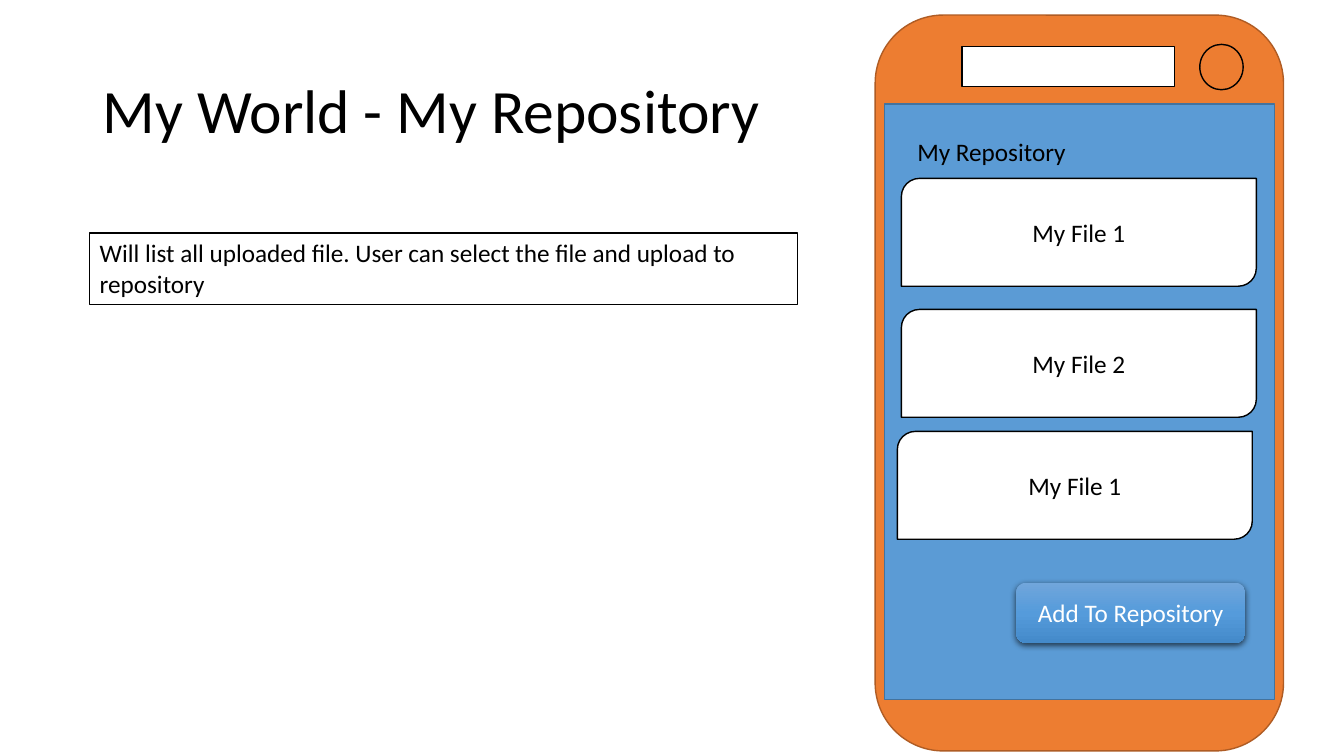
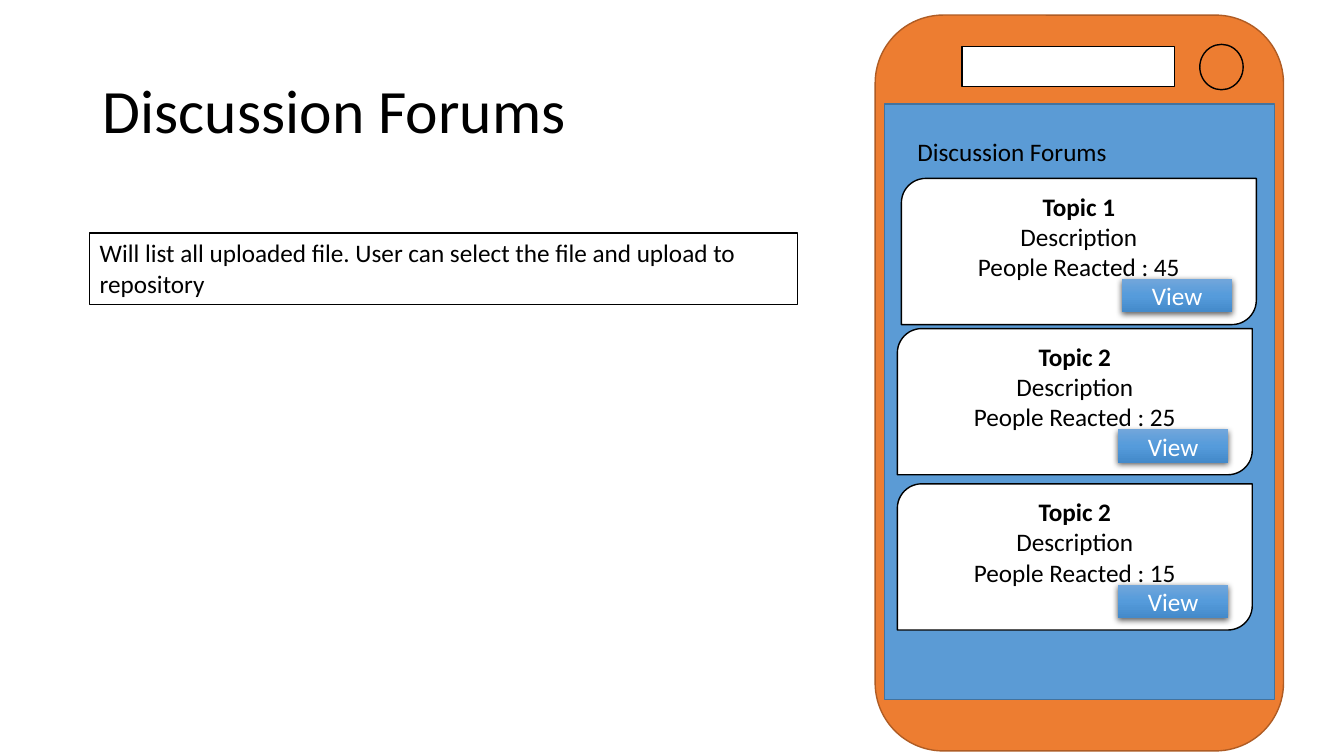
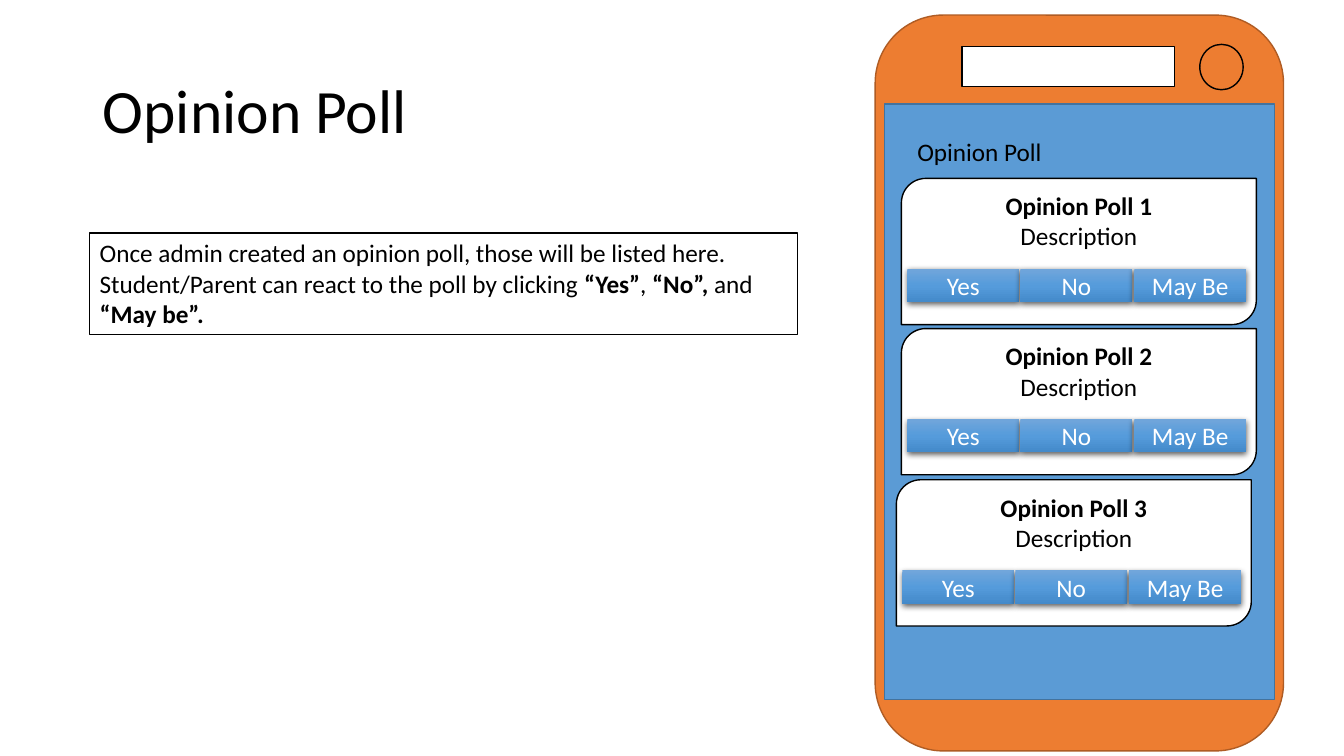
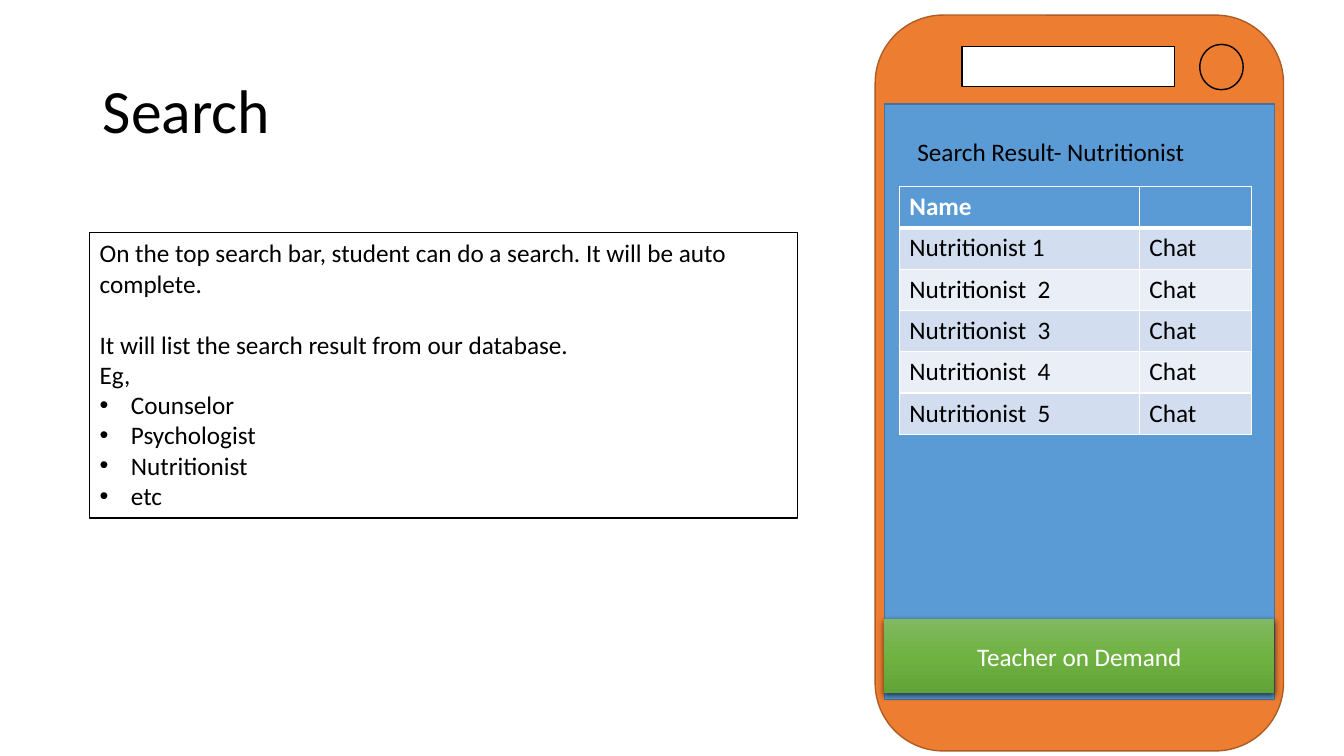
import copy

import pptx
import pptx.dml.color
import pptx.enum.shapes
import pptx.enum.text
import pptx.oxml
import pptx.oxml.ns
import pptx.util

RGBColor = pptx.dml.color.RGBColor
Pt = pptx.util.Pt
SHAPE = pptx.enum.shapes.MSO_SHAPE
ANCHOR = pptx.enum.text.MSO_ANCHOR
ALIGN = pptx.enum.text.PP_ALIGN
qn = pptx.oxml.ns.qn

PX = 9144  # EMU per px, 100 px to the inch

BLACK = RGBColor(0x00, 0x00, 0x00)
WHITE = RGBColor(0xFF, 0xFF, 0xFF)
ORANGE = RGBColor(0xED, 0x7D, 0x31)
ORANGE_EDGE = RGBColor(0xAF, 0x5C, 0x24)
BLUE = RGBColor(0x5B, 0x9B, 0xD5)
BLUE_EDGE = RGBColor(0x43, 0x73, 0x9E)
BAND_DARK = RGBColor(0xD2, 0xDE, 0xEF)
BAND_LIGHT = RGBColor(0xEA, 0xEF, 0xF7)
BLUE_GLOSS = (RGBColor(0x71, 0xA6, 0xDB), RGBColor(0x55, 0x9B, 0xDB),
              RGBColor(0x44, 0x8A, 0xCA))
GREEN_GLOSS = (RGBColor(0x81, 0xB8, 0x61), RGBColor(0x6F, 0xB2, 0x42),
               RGBColor(0x62, 0xA3, 0x36))

BODY_FONT = {"name": "Calibri", "size": Pt(18)}
TITLE_FONT = {"name": "Calibri", "size": Pt(44)}

NS = 'xmlns:a="http://schemas.openxmlformats.org/drawingml/2006/main"'
SHADOW = (f'<a:outerShdw {NS} blurRad="57150" dist="19050" dir="5400000" '
          'algn="ctr" rotWithShape="0"><a:srgbClr val="000000">'
          '<a:alpha val="63000"/></a:srgbClr></a:outerShdw>')
BULLET = (f'<a:buFont {NS} typeface="Arial"/>', f'<a:buChar {NS} char="•"/>')


def px(*lengths):
    return [length * PX for length in lengths]


def apply(target, values):
    for name, value in values.items():
        setattr(target, name, value)


class Deck:
    """Holds the shared style and the slide being built."""

    def __init__(self):
        self.prs = pptx.Presentation()
        apply(self.prs, {"slide_width": 1333 * PX, "slide_height": 750 * PX})
        self.slide = None

    def fill_text(self, frame, paragraphs, color=BLACK, font=BODY_FONT, **layout):
        """Fill a text frame; **...** is bold, a leading • makes a bullet."""
        for index, text in enumerate(paragraphs):
            paragraph = frame.add_paragraph() if index else frame.paragraphs[0]
            apply(paragraph, layout)
            if text.startswith("•"):
                text = text[1:]
                props = paragraph._p.get_or_add_pPr()
                props.set("marL", str(31 * PX))
                props.set("indent", str(-31 * PX))
                for mark in BULLET:
                    props.append(pptx.oxml.parse_xml(mark))
            for part, words in enumerate(text.split("**")):
                if words:
                    run = paragraph.add_run()
                    run.text = words
                    apply(run.font, {**font, "bold": part % 2 == 1})
                    run.font.color.rgb = color

    def page(self, title, screen_name, screen_name_width=250):
        """Start a slide with its title and an empty phone."""
        self.slide = self.prs.slides.add_slide(self.prs.slide_layouts[5])
        heading = self.slide.shapes.title
        apply(heading, dict(zip(("left", "top", "width", "height"),
                                px(92, 40, 1150, 145))))
        apply(heading.text_frame, {"vertical_anchor": ANCHOR.MIDDLE, "word_wrap": True})
        self.fill_text(heading.text_frame, [title], font=TITLE_FONT,
                       alignment=ALIGN.LEFT, line_spacing=0.9)

        self.shape(SHAPE.ROUNDED_RECTANGLE, (868, 15, 405, 730), ORANGE, ORANGE_EDGE)
        self.shape(SHAPE.RECTANGLE, (954, 46, 211, 40))
        self.shape(SHAPE.OVAL, (1190, 44, 43, 45), ORANGE)
        self.shape(SHAPE.RECTANGLE, (877, 103, 387, 591), BLUE, BLUE_EDGE)
        label = self.slide.shapes.add_textbox(*px(900, 130, screen_name_width, 40))
        label.text_frame.word_wrap = True
        self.fill_text(label.text_frame, [screen_name])

    def shape(self, preset, box, fill=WHITE, edge=BLACK):
        outline = self.slide.shapes.add_shape(preset, *px(*box))
        outline.shadow.inherit = False
        outline.fill.solid()
        outline.fill.fore_color.rgb = fill
        outline.line.color.rgb = edge
        outline.line.width = Pt(1)
        return outline

    def note(self, height, paragraphs):
        frame = self.shape(SHAPE.RECTANGLE, (89, 231, 702, height)).text_frame
        apply(frame, {"vertical_anchor": ANCHOR.TOP, "word_wrap": True})
        self.fill_text(frame, paragraphs, alignment=ALIGN.LEFT)
        return frame

    def card(self, left, top, height, paragraphs, space_below=5):
        """White card; space_below keeps its text clear of the buttons."""
        frame = self.shape(SHAPE.ROUND_2_DIAG_RECTANGLE,
                           (left, top, 352, height)).text_frame
        apply(frame, {"vertical_anchor": ANCHOR.MIDDLE, "word_wrap": True,
                      "margin_bottom": space_below * PX})
        self.fill_text(frame, paragraphs, alignment=ALIGN.CENTER)

    def button(self, box, caption, gloss=BLUE_GLOSS, preset=SHAPE.RECTANGLE):
        key = self.shape(preset, box)
        key.line.fill.background()
        key.fill.gradient()
        key.fill.gradient_angle = 270
        props = key._element.spPr
        stops = props.find(".//" + qn("a:gsLst"))
        stops.insert(1, copy.deepcopy(stops[0]))
        for stop, position, color in zip(key.fill.gradient_stops, (0, 0.5, 1), gloss):
            stop.position = position
            stop.color.rgb = color
        props.find(qn("a:effectLst")).append(pptx.oxml.parse_xml(SHADOW))
        key.text_frame.word_wrap = True
        self.fill_text(key.text_frame, [caption], WHITE, alignment=ALIGN.CENTER)

    def table(self, left, top, widths, row_height, rows):
        grid = self.slide.shapes.add_table(
            len(rows), len(widths),
            *px(left, top, sum(widths), row_height * len(rows))).table
        for column, width in zip(grid.columns, widths):
            column.width = width * PX
        for r, row in enumerate(rows):
            grid.rows[r].height = row_height * PX
            band = BAND_DARK if r % 2 else BAND_LIGHT
            for c, text in enumerate(row):
                cell = grid.cell(r, c)
                self.borders(cell, top=3 if r == 1 else 1, bottom=1 if r else 3)
                cell.fill.solid()
                cell.fill.fore_color.rgb = band if r else BLUE
                self.fill_text(cell.text_frame, [text], BLACK if r else WHITE)

    def borders(self, cell, top, bottom):
        props = cell._tc.get_or_add_tcPr()
        for side, points in (("L", 1), ("R", 1), ("T", top), ("B", bottom)):
            props.append(pptx.oxml.parse_xml(
                f'<a:ln{side} {NS} w="{int(Pt(points))}"><a:solidFill>'
                f'<a:srgbClr val="{str(WHITE)}"/></a:solidFill></a:ln{side}>'))


UPLOAD_NOTE = ("Will list all uploaded file. User can select the file "
               "and upload to repository")


def repository(deck):
    deck.page("My World - My Repository", "My Repository")
    for left, top, file_name in ((894, 177, "My File 1"), (894, 307, "My File 2"),
                                 (890, 428, "My File 1")):
        deck.card(left, top, 107, [file_name])
    deck.button((1008, 578, 227, 60), "Add To Repository",
                preset=SHAPE.ROUNDED_RECTANGLE)
    deck.note(71, [UPLOAD_NOTE])


def forums(deck):
    deck.page("Discussion Forums", "Discussion Forums")
    deck.note(71, [UPLOAD_NOTE])
    for left, top, topic, reactions in ((894, 177, "Topic 1", 45),
                                        (890, 326, "Topic 2", 25),
                                        (890, 480, "Topic 2", 15)):
        deck.card(left, top, 145, [f"**{topic}**", "Description",
                                   f"People Reacted : {reactions}"], space_below=35)
        deck.button((left + 219, top + 100, 109, 33), "View")


def poll(deck):
    deck.page("Opinion Poll", "Opinion Poll")
    deck.note(101, ["Once admin created an opinion poll, those will be listed here. "
                    "Student/Parent can react to the poll by clicking "
                    "**“Yes”**, **“No”, **and** “May be”.**"])
    for number, (left, top) in enumerate(((894, 177), (894, 326), (889, 476)), 1):
        deck.card(left, top, 145, [f"**Opinion Poll {number}**", "Description"],
                  space_below=66)
        for index, answer in enumerate(("Yes", "No", "May Be")):
            deck.button((left + 6 + index * 225 // 2, top + 90, 111, 33), answer)


def search(deck):
    deck.page("Search", "Search Result- Nutritionist", 308)
    note = deck.note(283, [
        "On the top search bar, student can do a search. It will be auto complete.",
        "It will list the search result from our database.",
        "Eg,", "•Counselor", "•Psychologist", "•Nutritionist", "•etc"])
    note.paragraphs[1].space_before = Pt(22)
    results = ["Nutritionist 1"] + [f"Nutritionist  {n}" for n in range(2, 6)]
    deck.table(892, 185, (238, 111), 41,
               [("**Name**", "")] + [(person, "Chat") for person in results])
    deck.button((877, 614, 387, 74), "Teacher on Demand", GREEN_GLOSS)


def main():
    deck = Deck()
    for build in (repository, forums, poll, search):
        build(deck)
    deck.prs.save("out.pptx")


if __name__ == "__main__":
    main()
